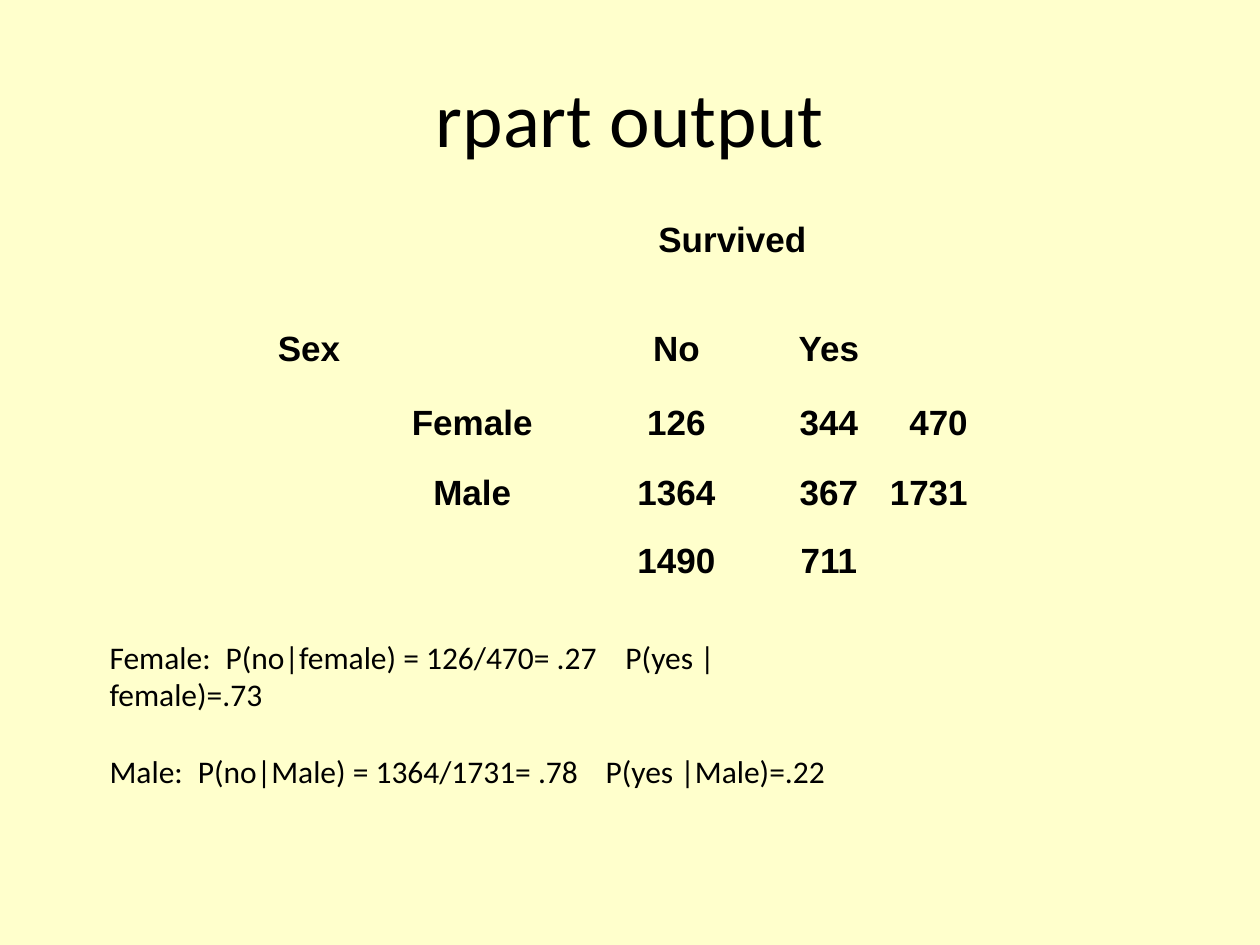
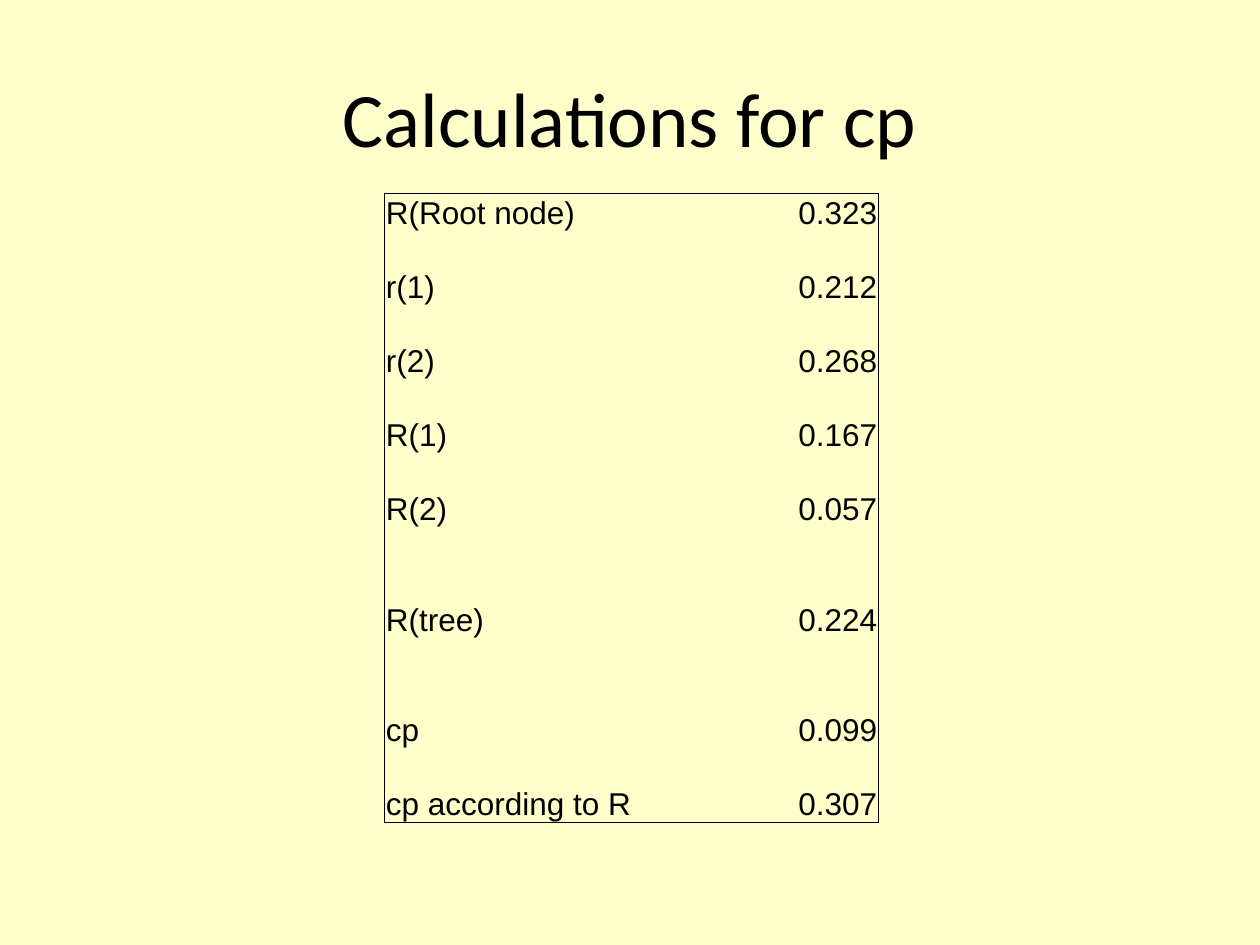
from dataclasses import dataclass

from lxml.etree import SubElement
from pptx import Presentation
from pptx.dml.color import RGBColor
from pptx.enum.text import MSO_ANCHOR as Anchor, PP_ALIGN as Align
from pptx.oxml.ns import qn
from pptx.slide import Slide
from pptx.table import _Cell as Cell
from pptx.util import Cm, Pt

CREAM = "FFFFCC"
BLACK = "000000"
HEADING_FONT = "Calibri"
TABLE_FONT = "Arial"
EDGES = ("L", "R", "T", "B")


@dataclass
class Grid:
    """A table: lengths in cm, one alignment per column, empty strings for blank cells."""
    left: float
    top: float
    widths: list[float]
    heights: list[float]
    rows: list[list[str]]
    aligns: list[Align]
    size: int
    bold: bool = False
    framed: bool = False


@dataclass
class Probabilities:
    """One line of results; the tab stops (cm) place its two formulas."""
    text: str
    stops: tuple[float, float]
    space_before: int = 0


SURVIVAL = Grid(
    left=5.11, top=4.32,
    widths=[2.24, 4.34, 3.89, 2.26, 1.7],
    heights=[0.91, 2.2, 1.5, 1.4, 0.46, 0.91],
    rows=[
        ["", "", "Survived", "", ""],
        ["Sex", "", "No", "Yes", ""],
        ["", "Female", "126", "344", "470"],
        ["", "Male", "1364", "367", "1731"],
        ["", "", "", "", ""],
        ["", "", "1490", "711", ""],
    ],
    aligns=[Align.CENTER] * 4 + [Align.RIGHT],
    size=20, bold=True,
)

PROBABILITIES = [
    Probabilities("Female:\tP(no|female) = 126/470= .27\tP(yes |female)=.73", (2.34, 10.4)),
    Probabilities("Male:\tP(no|Male) = 1364/1731= .78\tP(yes |Male)=.22", (1.78, 10), 22),
]

CP_ROW_COUNT = 17
CP_HEIGHT = 12.46
CP_VALUES = {
    0: ["R(Root node)", "0.323"],
    2: ["r(1)", "0.212"],
    4: ["r(2)", "0.268"],
    6: ["R(1)", "0.167"],
    8: ["R(2)", "0.057"],
    11: ["R(tree)", "0.224"],
    14: ["cp", "0.099"],
    16: ["cp according to R", "0.307"],
}
CP_TABLE = Grid(
    left=7.75, top=3.89,
    widths=[6.86, 3.1],
    heights=[CP_HEIGHT / CP_ROW_COUNT] * CP_ROW_COUNT,
    rows=[CP_VALUES.get(row, ["", ""]) for row in range(CP_ROW_COUNT)],
    aligns=[Align.LEFT, Align.RIGHT],
    size=18, framed=True,
)


def rgb(color: str) -> RGBColor:
    return RGBColor.from_string(color)


def style_font(paragraph, name: str, size: int, bold: bool = False) -> None:
    font = paragraph.font
    font.name, font.size, font.bold = name, Pt(size), bold
    font.color.rgb = rgb(BLACK)


def add_titled_slide(deck, title: str) -> Slide:
    slide = deck.slides.add_slide(deck.slide_layouts[6])
    slide.background.fill.solid()
    slide.background.fill.fore_color.rgb = rgb(CREAM)
    frame = slide.shapes.add_textbox(Cm(1.27), Cm(0.76), Cm(22.86), Cm(3.18)).text_frame
    frame.word_wrap = True
    frame.vertical_anchor = Anchor.MIDDLE
    heading = frame.paragraphs[0]
    heading.text = title
    heading.alignment = Align.CENTER
    style_font(heading, HEADING_FONT, 44)
    return slide


def set_borders(cell: Cell, visible: set[str]) -> None:
    """Draw thin black lines on the visible edges and none on the others."""
    properties = cell._tc.get_or_add_tcPr()
    for edge in EDGES:
        line = SubElement(properties, qn(f"a:ln{edge}"), w=str(Pt(0.5)))
        if edge in visible:
            fill = SubElement(line, qn("a:solidFill"))
            SubElement(fill, qn("a:srgbClr"), val=BLACK)
        else:
            SubElement(line, qn("a:noFill"))


def fill_cell(cell: Cell, text: str, align: Align, grid: Grid) -> None:
    cell.margin_left = cell.margin_right = Cm(0.03)
    cell.margin_top = cell.margin_bottom = 0
    cell.vertical_anchor = Anchor.BOTTOM
    paragraph = cell.text_frame.paragraphs[0]
    if text:
        paragraph.text = text
        paragraph.alignment = align
        style_font(paragraph, TABLE_FONT, grid.size, grid.bold)
    else:
        # A small size keeps blank rows from growing.
        SubElement(paragraph._p, qn("a:endParaRPr"), sz="800")


def add_grid(slide: Slide, grid: Grid):
    row_count, column_count = len(grid.heights), len(grid.widths)
    table = slide.shapes.add_table(
        row_count, column_count, Cm(grid.left), Cm(grid.top),
        Cm(sum(grid.widths)), Cm(sum(grid.heights)),
    ).table
    table.first_row = table.horz_banding = False
    for column, width in zip(table.columns, grid.widths):
        column.width = Cm(width)
    for row, height in zip(table.rows, grid.heights):
        row.height = Cm(height)
    for r, texts in enumerate(grid.rows):
        for c, (text, align) in enumerate(zip(texts, grid.aligns)):
            cell = table.cell(r, c)
            fill_cell(cell, text, align, grid)
            outer = {"L": c == 0, "R": c == column_count - 1,
                     "T": r == 0, "B": r == row_count - 1}
            set_borders(cell, {edge for edge in EDGES if grid.framed and outer[edge]})
            cell.fill.background()
    return table


def add_probabilities(slide: Slide, lines: list[Probabilities]) -> None:
    frame = slide.shapes.add_textbox(Cm(1.96), Cm(12.73), Cm(15.65), Cm(4.11)).text_frame
    frame.word_wrap = True
    for index, line in enumerate(lines):
        paragraph = frame.add_paragraph() if index else frame.paragraphs[0]
        paragraph.text = line.text
        paragraph.space_before = Pt(line.space_before)
        tabs = SubElement(paragraph._p.get_or_add_pPr(), qn("a:tabLst"))
        for stop in line.stops:
            SubElement(tabs, qn("a:tab"), pos=str(Cm(stop)), algn="l")
        style_font(paragraph, HEADING_FONT, 18)


def main() -> None:
    deck = Presentation()
    deck.slide_width, deck.slide_height = Cm(25.4), Cm(19.05)

    output_slide = add_titled_slide(deck, "rpart output")
    survival = add_grid(output_slide, SURVIVAL)
    survival.cell(0, 2).merge(survival.cell(0, 3))
    add_probabilities(output_slide, PROBABILITIES)

    cp_slide = add_titled_slide(deck, "Calculations for cp")
    add_grid(cp_slide, CP_TABLE)

    deck.save("out.pptx")


if __name__ == "__main__":
    main()
